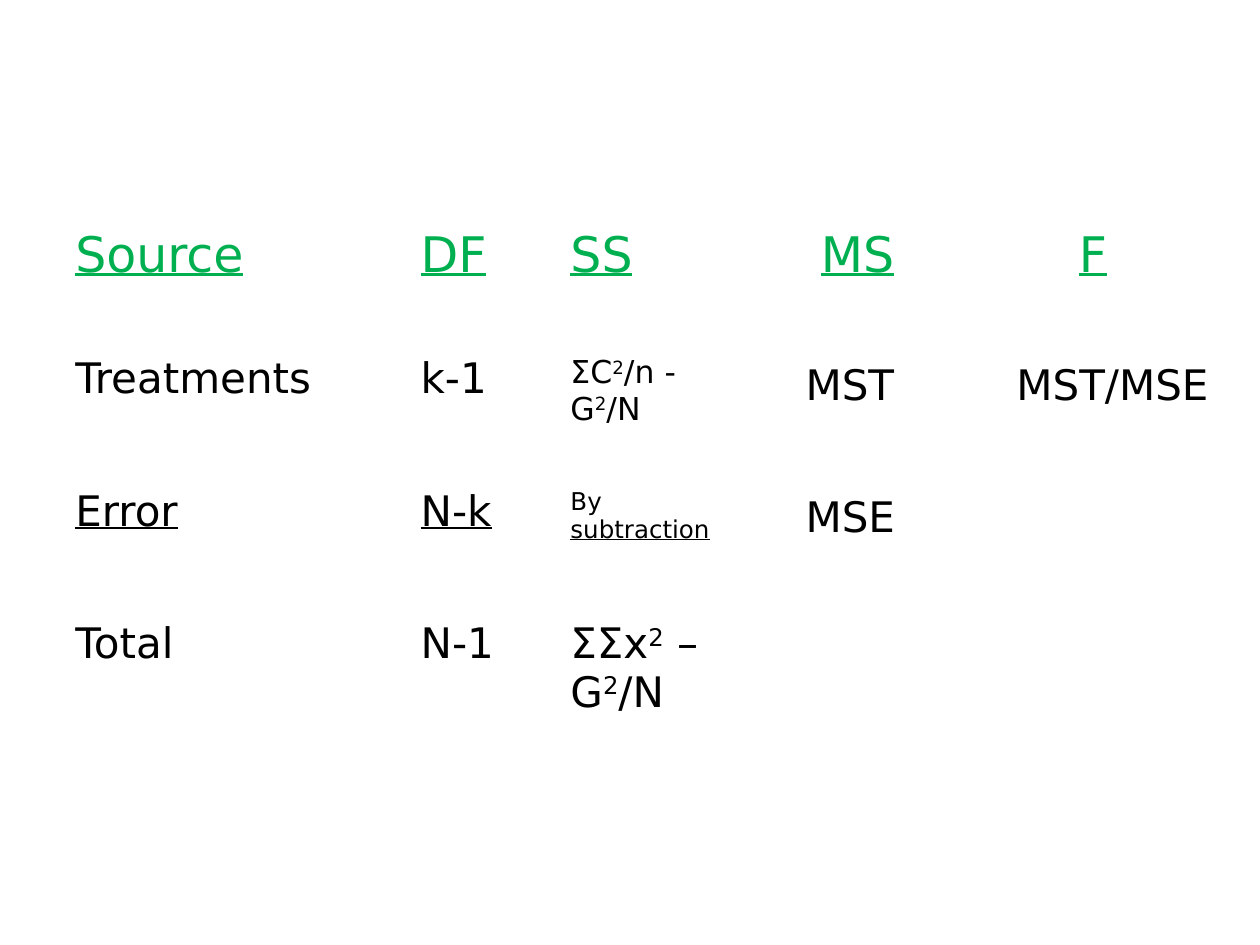
"""Build a slide with a one-way analysis of variance table."""
from dataclasses import dataclass

from pptx import Presentation, util as u
from pptx.dml import color


@dataclass(frozen=True)
class Theme:
    font: str = "DejaVu Sans"
    heading: str = "00B050"
    body: str = "000000"
    heading_size: int = 28
    body_size: int = 24
    formula_size: int = 18
    note_size: int = 14


THEME = Theme()


@dataclass(frozen=True)
class Entry:
    text: str = ""
    size: int = THEME.body_size
    colour: str = THEME.body
    underline: bool = False
    lead: str = ""
    indent: float = 0
    drop: float = 0


def heading(label: str, indent: float = 0) -> Entry:
    return Entry(label, THEME.heading_size, THEME.heading, True, indent=indent)


def mean_square(label: str, indent: float) -> Entry:
    return Entry(label, indent=indent, drop=0.13)


LEFT, TOP = 1.27, 4.45
COLUMN_WIDTHS = (6.96, 3.02, 3.48, 3.94, 6.73)
ROW_HEIGHTS = (2.57, 2.67, 2.67, 2.67)
MARGIN_X, MARGIN_Y = 0.25, 0.13
ROWS = (
    (heading("Source"), heading("DF"), heading("SS"),
     heading("MS", 1.57), heading("F", 2.83)),
    (Entry("Treatments"), Entry("k-1"),
     Entry("ΣC^2^/n - G^2^/N", THEME.formula_size),
     mean_square("MST", 1.26), mean_square("MST/MSE", 1.57)),
    (Entry("Error", underline=True), Entry("N-k", underline=True),
     Entry("subtraction", THEME.note_size, underline=True, lead="By "),
     mean_square("MSE", 1.26), Entry()),
    (Entry("Total"), Entry("N-1"), Entry("ΣΣx^2^ – G^2^/N"), Entry(), Entry()),
)


def add_text(paragraph, text: str, *, size: int, colour: str,
             underline: bool = False) -> None:
    """Add text, raising the parts enclosed in carets."""
    for index, part in enumerate(text.split("^")):
        if not part:
            continue
        run = paragraph.add_run()
        run.text = part
        run.font.name = THEME.font
        run.font.size = u.Pt(size)
        run.font.color.rgb = color.RGBColor.from_string(colour)
        run.font.underline = underline
        if index % 2:
            run._r.get_or_add_rPr().set("baseline", "30000")


def fill_cell(cell, entry: Entry) -> None:
    """Write one entry into a table cell."""
    cell.fill.background()
    cell.margin_left = u.Cm(MARGIN_X + entry.indent)
    cell.margin_right = u.Cm(MARGIN_X)
    cell.margin_top = u.Cm(MARGIN_Y + entry.drop)
    cell.margin_bottom = u.Cm(MARGIN_Y)
    paragraph = cell.text_frame.paragraphs[0]
    add_text(paragraph, entry.lead, size=entry.size, colour=entry.colour)
    add_text(paragraph, entry.text, size=entry.size, colour=entry.colour,
             underline=entry.underline)


def add_variance_table(slide) -> None:
    """Add the table with its column widths, row heights and entries."""
    table = slide.shapes.add_table(
        len(ROW_HEIGHTS), len(COLUMN_WIDTHS), u.Cm(LEFT), u.Cm(TOP),
        u.Cm(sum(COLUMN_WIDTHS)), u.Cm(sum(ROW_HEIGHTS))).table
    table.first_row = False
    table.horz_banding = False
    for column, width in zip(table.columns, COLUMN_WIDTHS):
        column.width = u.Cm(width)
    for row, height, entries in zip(table.rows, ROW_HEIGHTS, ROWS):
        row.height = u.Cm(height)
        for cell, entry in zip(row.cells, entries):
            fill_cell(cell, entry)


def main() -> None:
    """Create and save the presentation."""
    presentation = Presentation()
    presentation.slide_width = u.Cm(25.4)
    presentation.slide_height = u.Cm(19.05)
    slide = presentation.slides.add_slide(presentation.slide_layouts[6])
    add_variance_table(slide)
    presentation.save("out.pptx")


main()
